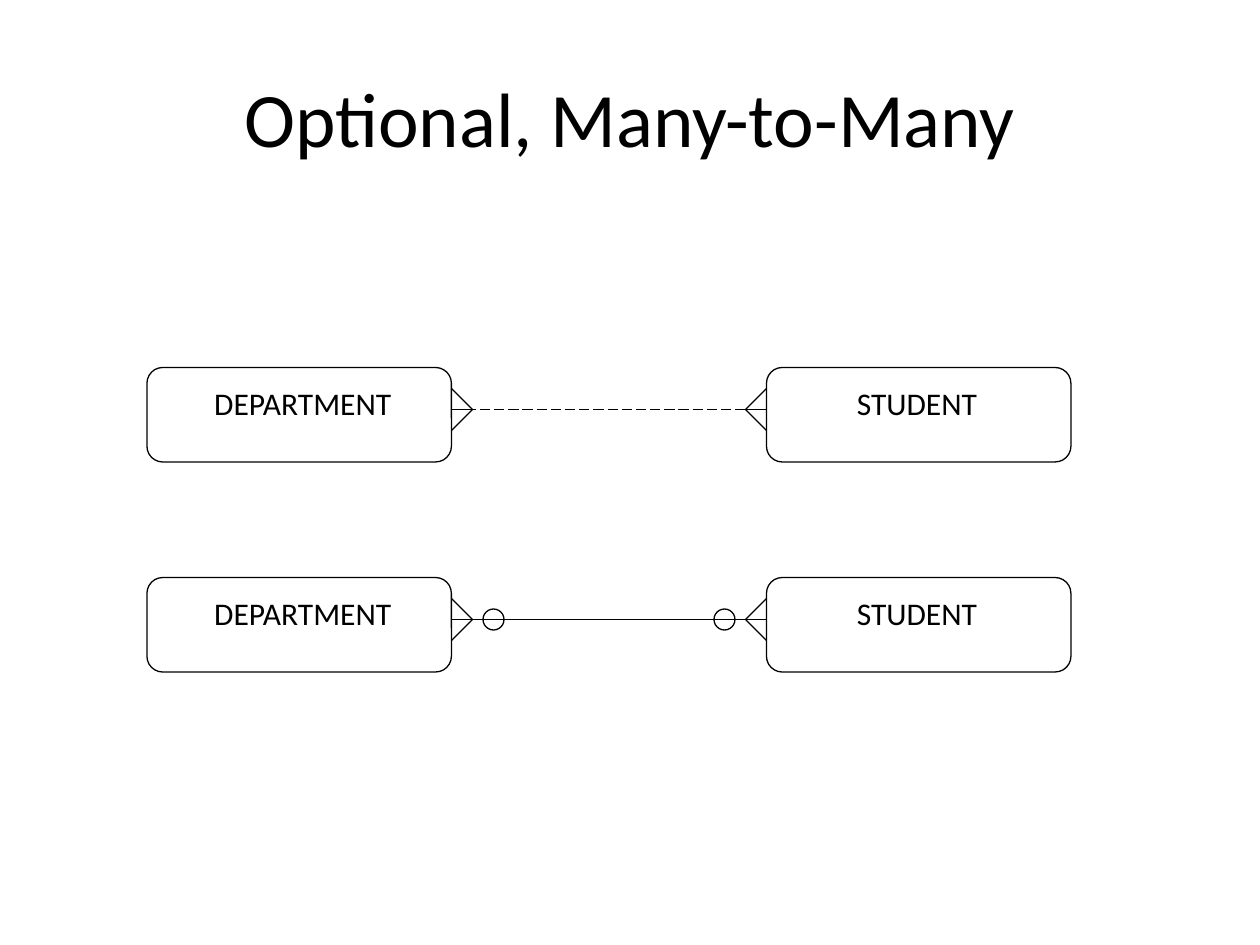
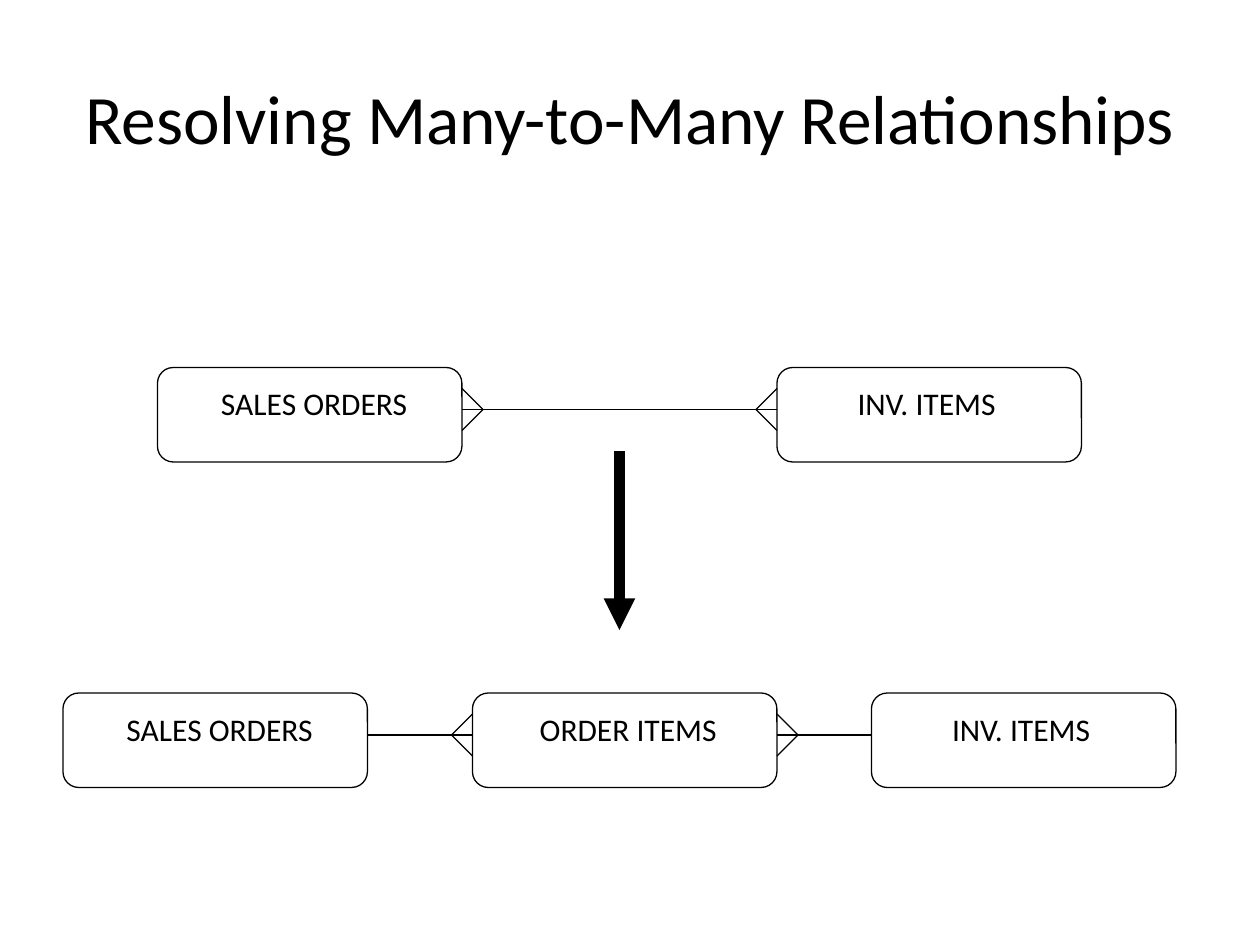
from dataclasses import dataclass

from lxml import etree
from pptx import Presentation
from pptx.dml.color import RGBColor
from pptx.enum.dml import MSO_LINE
from pptx.enum.shapes import MSO_CONNECTOR, MSO_SHAPE
from pptx.enum.text import MSO_ANCHOR, MSO_AUTO_SIZE, PP_ALIGN
from pptx.oxml.ns import qn
from pptx.util import Pt

LONG_DASH = MSO_LINE.LONG_DASH
STRAIGHT = MSO_CONNECTOR.STRAIGHT
ROUNDED, OVAL = MSO_SHAPE.ROUNDED_RECTANGLE, MSO_SHAPE.OVAL
MIDDLE = MSO_ANCHOR.MIDDLE
GROW = MSO_AUTO_SIZE.SHAPE_TO_FIT_TEXT
CENTER = PP_ALIGN.CENTER


@dataclass(frozen=True)
class Theme:
    ink: RGBColor = RGBColor(0, 0, 0)
    font: str = "Calibri"
    title_size: float = 44
    long_title_size: float = 39.6
    label_size: float = 18
    thin: float = 0.75
    thick: float = 6


THEME = Theme()
SLIDE_W, SLIDE_H = 720, 540
TITLE_BOX = (36, 21.6, 648, 90)
TITLE_ONLY = 5

ENTITY_W, ENTITY_H = 174, 54
AXIS = 24           # from the top of an entity to its relationship line
FOOT = 12           # length and half-height of a crow's foot
RING = 12           # diameter of an "optional" ring
RING_GAP = 6        # from the tip of the crow's foot to the ring
LABEL_TOP, LABEL_H = 6, 36

# Each label's left offset from its entity, and its width
LABELS = {
    "DEPARTMENT": (1, 176),
    "STUDENT": (24, 124),
    "SALES ORDERS": (-5, 189),
    "INV. ITEMS": (15, 141),
    "ORDER ITEMS": (2, 174),
}


@dataclass(frozen=True)
class Relationship:
    many_left: bool = True
    many_right: bool = True
    dashed: bool = False
    rings: bool = False


def pts(*lengths):
    return [Pt(v) for v in lengths]


def add_text(tf, text, size):
    p = tf.paragraphs[0]
    p.alignment = CENTER
    r = p.add_run()
    r.text = text
    r.font.name = THEME.font
    r.font.size = Pt(size)
    r.font.color.rgb = THEME.ink


def add_outline(shapes, kind, box):
    sp = shapes.add_shape(kind, *pts(*box))
    sp.shadow.inherit = False
    sp.fill.background()
    sp.line.color.rgb = THEME.ink
    sp.line.width = Pt(THEME.thin)
    return sp


def add_line(shapes, start, end, width=THEME.thin, dash=None, arrow=False):
    cxn = shapes.add_connector(STRAIGHT, *pts(*start, *end))
    cxn.line.color.rgb = THEME.ink
    cxn.line.width = Pt(width)
    if dash:
        cxn.line.dash_style = dash
    if arrow:
        ln = cxn.line._get_or_add_ln()
        etree.SubElement(ln, qn("a:tailEnd"), type="triangle")
    etree.SubElement(cxn._element.spPr, qn("a:effectLst"))


def add_entity(shapes, x, y, name):
    sp = add_outline(shapes, ROUNDED, (x, y, ENTITY_W, ENTITY_H))
    sp.adjustments[0] = 0.167
    dx, width = LABELS[name]
    label = shapes.add_textbox(*pts(x + dx, y + LABEL_TOP, width, LABEL_H))
    tf = label.text_frame
    tf.word_wrap = False
    tf.auto_size = GROW
    add_text(tf, name, THEME.label_size)


def add_end(shapes, x, y, side, many, relationship):
    """Mark one end of a relationship; side is 1 if the line runs right from x."""
    tip = x + side * FOOT
    if many:
        for dy in (-FOOT, FOOT):
            add_line(shapes, (x, y + dy), (tip, y))
    if relationship.dashed:
        add_line(shapes, (x, y), (tip, y))
    if relationship.rings:
        middle = tip + side * (RING_GAP + RING / 2)
        add_outline(shapes, OVAL, (middle - RING / 2, y - RING / 2, RING, RING))


def add_relationship(shapes, x1, x2, y, relationship):
    dash = LONG_DASH if relationship.dashed else None
    add_line(shapes, (x1, y), (x2, y), dash=dash)
    add_end(shapes, x1, y, 1, relationship.many_left, relationship)
    add_end(shapes, x2, y, -1, relationship.many_right, relationship)


def add_row(s, y, entities, relationships):
    """Draw (left, name) entities as one group, each related to the next."""
    shapes = s.shapes.add_group_shape().shapes
    for x, name in entities:
        add_entity(shapes, x, y, name)
    for (x1, _), (x2, _), rel in zip(entities, entities[1:], relationships):
        add_relationship(shapes, x1 + ENTITY_W, x2, y + AXIS, rel)


def add_titled_slide(prs, title, size):
    s = prs.slides.add_slide(prs.slide_layouts[TITLE_ONLY])
    sp = s.shapes.title
    sp.left, sp.top, sp.width, sp.height = pts(*TITLE_BOX)
    sp.text_frame.vertical_anchor = MIDDLE
    add_text(sp.text_frame, title, size)
    return s


def build_optional(prs):
    s = add_titled_slide(prs, "Optional, Many-to-Many", THEME.title_size)
    entities = [(84, "DEPARTMENT"), (438, "STUDENT")]
    add_row(s, 330, entities, [Relationship(rings=True)])
    add_row(s, 210, entities, [Relationship(dashed=True)])


def build_resolving(prs):
    s = add_titled_slide(prs, "Resolving Many-to-Many Relationships",
                         THEME.long_title_size)
    add_row(s, 210, [(90, "SALES ORDERS"), (444, "INV. ITEMS")],
            [Relationship()])
    add_line(s.shapes, (354, 258), (354, 360), THEME.thick, arrow=True)
    add_row(s, 396,
            [(36, "SALES ORDERS"), (270, "ORDER ITEMS"), (498, "INV. ITEMS")],
            [Relationship(many_left=False), Relationship(many_right=False)])


def main():
    prs = Presentation()
    prs.slide_width, prs.slide_height = pts(SLIDE_W, SLIDE_H)
    build_optional(prs)
    build_resolving(prs)
    prs.save("out.pptx")


if __name__ == "__main__":
    main()
